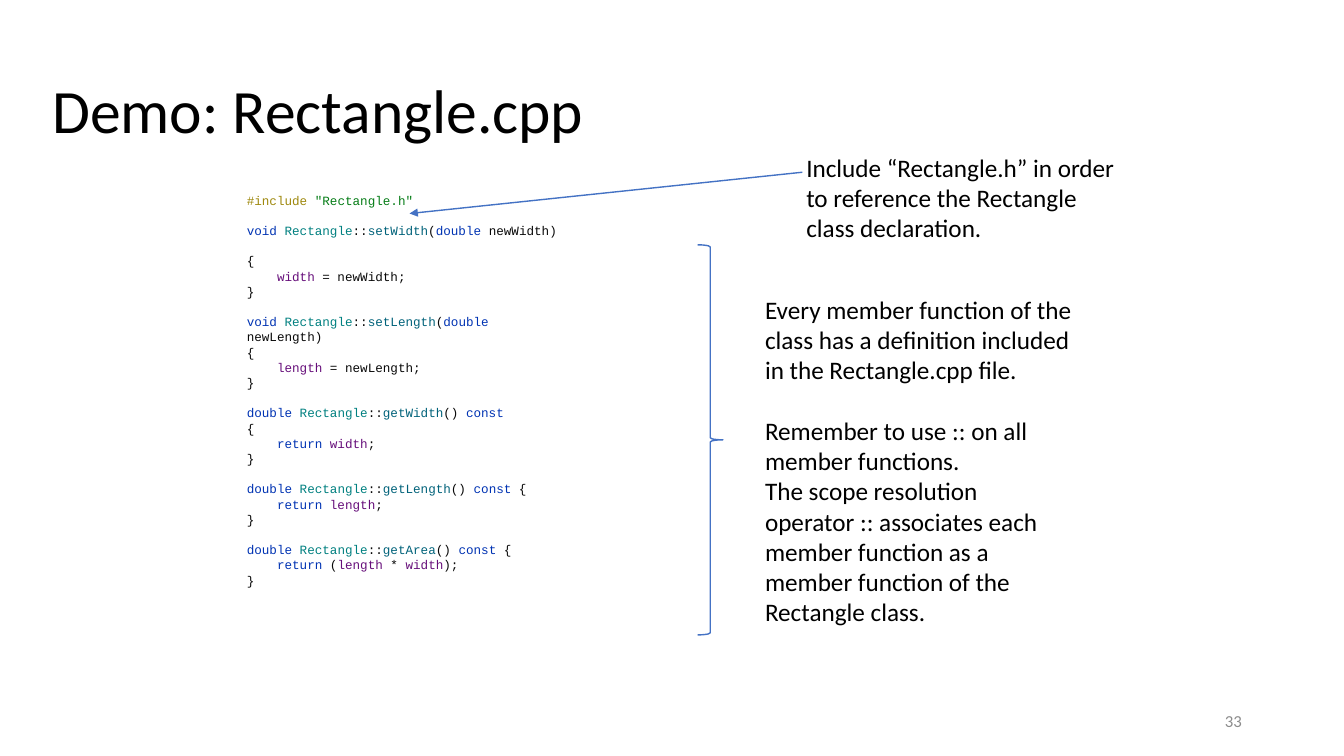
from lxml import etree
from pptx import Presentation
from pptx.dml.color import RGBColor
from pptx.enum import shapes, text
from pptx.oxml import ns
from pptx.util import Cm, Pt

COLORS = {
    "title": "000000", "number": "8C8C8C", "accent": "4472C4", "panel": "FFFFFF",
    "directive": "9E880D", "string": "067D17", "keyword": "0033B3",
    "class": "008080", "function": "00627A", "field": "660E7A", "plain": "080808",
}
CODE_SIZE = 9
CODE_LINE = 10.85
CODE_INDENT = Pt(21.6)  # four characters
NOTE_LINE = 21.6


def color(name):
    return RGBColor.from_string(COLORS[name])


def add_run(p, content, font, size, color_name):
    r = p.add_run()
    r.text = content
    r.font.name = font
    r.font.size = Pt(size)
    r.font.color.rgb = color(color_name)


def add_label(s, box, paragraphs, size, color_name="title", anchor=text.MSO_ANCHOR.TOP,
              align=text.PP_ALIGN.LEFT, line_spacing=1.0):
    """Place a text box; paragraphs are (wording, points of space before)."""
    tf = s.shapes.add_textbox(*map(Cm, box)).text_frame
    tf.word_wrap = True
    tf.vertical_anchor = anchor
    for i, (content, gap) in enumerate(paragraphs):
        p = tf.paragraphs[0] if i == 0 else tf.add_paragraph()
        p.alignment = align
        p.line_spacing = line_spacing
        p.space_before = Pt(gap)
        add_run(p, content, "Calibri", size, color_name)


def signature(result, name, *rest):
    return [("keyword", result + " "), ("class", "Rectangle"), ("plain", "::"),
            ("function", name), *rest]


def setter(name, field, parameter, brace_gap):
    """Lines of a setter, each as (runs, indent level, blank lines before)."""
    head = signature("void", name, ("plain", "("), ("keyword", "double "),
                     ("plain", parameter + ")"))
    body = [("field", field + " "), ("plain", f"= {parameter};")]
    return [(head, 0, 1), ([("plain", "{")], 0, brace_gap), (body, 1, 0),
            ([("plain", "}")], 0, 0)]


def getter(name, *value, brace_below=False):
    """Lines of a const getter, in the same form as a setter's."""
    head = signature("double", name, ("plain", "() "), ("keyword", "const"))
    brace = []
    if brace_below:
        brace = [([("plain", "{")], 0, 0)]
    else:
        head.append(("plain", " {"))
    body = [("keyword", "return "), *value, ]
    return [(head, 0, 1), *brace, (body, 1, 0), ([("plain", "}")], 0, 0)]


def code_lines():
    include = [("directive", "#include "), ("string", '"Rectangle.h"')]
    end = ("plain", ";")
    area = [("plain", "("), ("field", "length "), ("plain", "* "),
            ("field", "width"), ("plain", ");")]
    return [
        (include, 0, 0),
        *setter("setWidth", "width", "newWidth", brace_gap=1),
        *setter("setLength", "length", "newLength", brace_gap=0),
        *getter("getWidth", ("field", "width"), end, brace_below=True),
        *getter("getLength", ("field", "length"), end),
        *getter("getArea", *area),
    ]


def add_code(s, box):
    panel = s.shapes.add_shape(shapes.MSO_SHAPE.RECTANGLE, *map(Cm, box))
    panel.shadow.inherit = False
    panel.fill.solid()
    panel.fill.fore_color.rgb = color("panel")
    panel.line.fill.background()
    tf = panel.text_frame
    tf.word_wrap = True
    tf.vertical_anchor = text.MSO_ANCHOR.TOP
    tf.margin_top = Cm(0.18)
    for i, (runs, indent, blank_lines) in enumerate(code_lines()):
        p = tf.paragraphs[0] if i == 0 else tf.add_paragraph()
        p.alignment = text.PP_ALIGN.LEFT
        p.line_spacing = Pt(CODE_LINE)
        p.space_before = Pt(CODE_LINE * blank_lines)
        if indent:
            p._p.get_or_add_pPr().set("marL", str(indent * CODE_INDENT))
        for color_name, content in runs:
            add_run(p, content, "Courier New", CODE_SIZE, color_name)


def add_brace(s, box):
    brace = s.shapes.add_shape(shapes.MSO_SHAPE.RIGHT_BRACE, *map(Cm, box))
    brace.shadow.inherit = False
    brace.fill.background()
    brace.line.color.rgb = color("accent")
    brace.line.width = Pt(1)


def add_arrow(s, start, end):
    arrow = s.shapes.add_connector(shapes.MSO_CONNECTOR.STRAIGHT, *map(Cm, start + end))
    arrow.line.color.rgb = color("accent")
    arrow.line.width = Pt(1)
    etree.SubElement(arrow.line._get_or_add_ln(), ns.qn("a:tailEnd"), type="triangle")
    etree.SubElement(arrow._element.spPr, ns.qn("a:effectLst"))


def add_member_notes(s, left, top, height):
    add_brace(s, (left, top, 0.64, height))
    add_label(s, (left + 1.45, top + 1.12, 8.43, height - 1.12), [
        ("Every member function of the class has a definition included in the "
         "Rectangle.cpp file.", 0),
        ("Remember to use :: on all member functions.", NOTE_LINE),
        ("The scope resolution operator :: associates each member function as a "
         "member function of the Rectangle class.", 0),
    ], 18)


def add_include_note(s, left, top):
    add_label(s, (left, top, 8.43, 2.57), [
        ("Include “Rectangle.h” in order to reference the Rectangle class declaration.", 0),
    ], 18)
    add_arrow(s, (left + 0.15, top + 0.63), (left - 9.75, top + 1.67))


def main():
    prs = Presentation()
    prs.slide_width, prs.slide_height = Cm(33.87), Cm(19.05)
    s = prs.slides.add_slide(prs.slide_layouts[6])
    middle = text.MSO_ANCHOR.MIDDLE
    add_label(s, (1.07, 1.02, 31.75, 3.68), [("Demo: Rectangle.cpp", 0)], 44,
              anchor=middle, line_spacing=0.9)
    add_label(s, (23.93, 17.65, 7.62, 1.02), [("33", 0)], 12, "number",
              anchor=middle, align=text.PP_ALIGN.RIGHT)
    add_code(s, (5.97, 4.67, 8.36, 10.64))
    add_member_notes(s, 17.58, 6.17, 9.83)
    add_include_note(s, 20.07, 3.71)
    prs.save("out.pptx")


if __name__ == "__main__":
    main()
